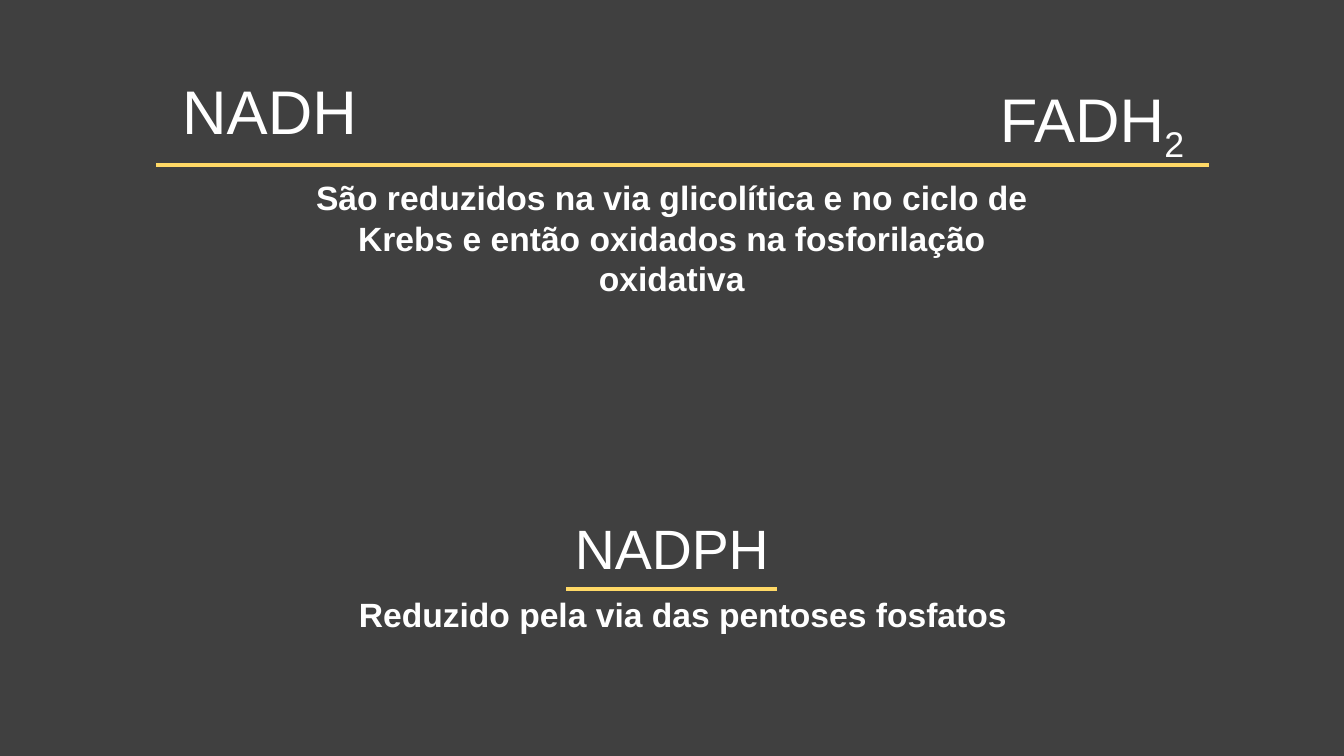
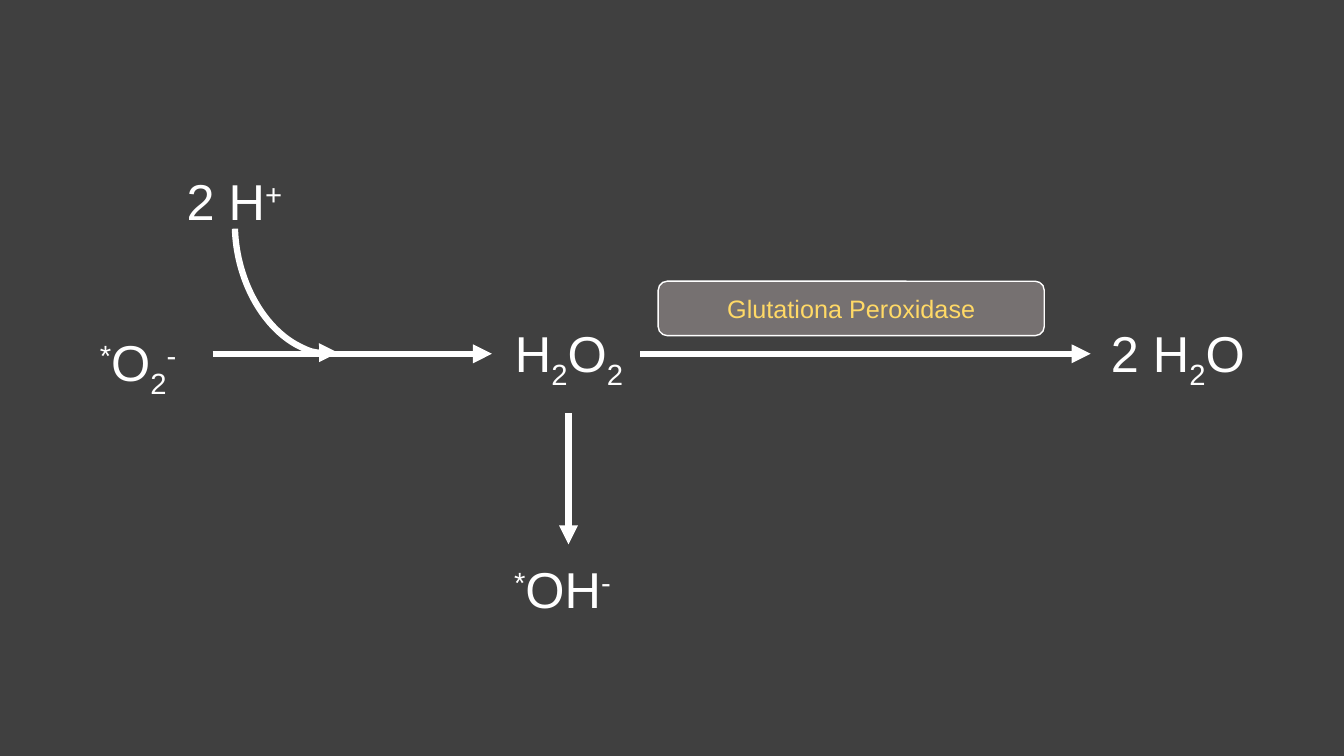
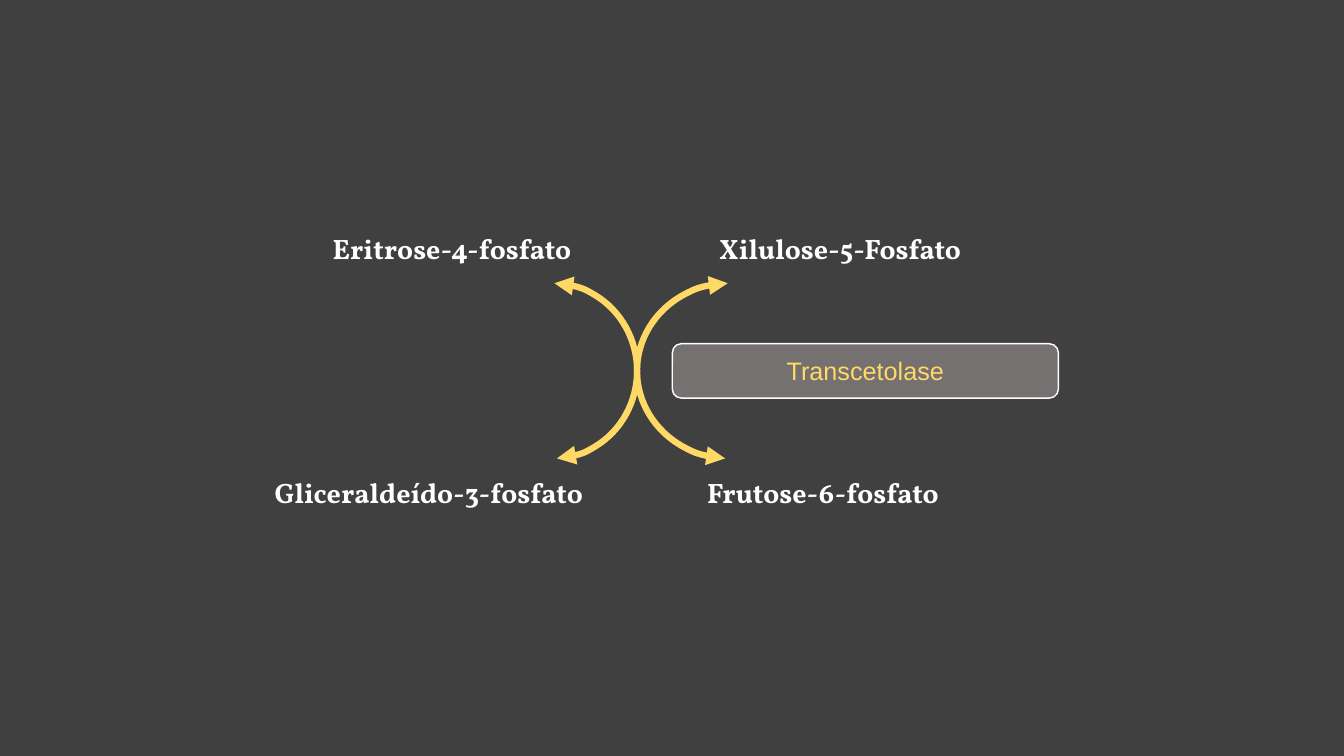
from pptx import Presentation
from pptx import util as u
from pptx.dml import color
from pptx.enum import shapes, text
from pptx.oxml import ns
from lxml import etree

COLUMNS, ROWS = 80, 45
BACKGROUND, WHITE, YELLOW, GREY = "404040", "FFFFFF", "FFD966", "767171"
SUB, SUP = -25, 30


def rgb(value):
    return color.RGBColor.from_string(value)


class Deck:
    """Holds the shared style and the slide being drawn; lengths are grid units."""

    def __init__(self):
        self.presentation = Presentation()
        self.presentation.slide_width = u.Inches(13.33)
        self.presentation.slide_height = u.Inches(7.5)
        fill = self.presentation.slide_master.background.fill
        fill.solid()
        fill.fore_color.rgb = rgb(BACKGROUND)
        self.slide = None

    def new_slide(self, titled=False):
        layout = self.presentation.slide_layouts[5 if titled else 6]
        self.slide = self.presentation.slides.add_slide(layout)

    def x(self, columns):
        return round(self.presentation.slide_width * columns / COLUMNS)

    def y(self, rows):
        return round(self.presentation.slide_height * rows / ROWS)

    def box(self, left, top, width, height):
        return self.x(left), self.y(top), self.x(width), self.y(height)

    def set_text(self, shape, runs, size, hue=WHITE, font="Arial", bold=False,
                 spacing=1.0, middle=False):
        """Fill a shape with one centred paragraph of (text, baseline) runs."""
        frame = shape.text_frame
        frame.word_wrap = True
        frame.auto_size = text.MSO_AUTO_SIZE.NONE
        anchors = text.MSO_ANCHOR
        frame.vertical_anchor = anchors.MIDDLE if middle else anchors.TOP
        paragraph = frame.paragraphs[0]
        paragraph.alignment = text.PP_ALIGN.CENTER
        paragraph.line_spacing = spacing
        for words, baseline in runs:
            run = paragraph.add_run()
            run.text = words
            run.font.size = u.Pt(size)
            run.font.name = font
            run.font.bold = bold
            run.font.color.rgb = rgb(hue)
            if baseline:
                run.font._element.set("baseline", str(baseline * 1000))

    def title(self, words, place, size):
        shape = self.slide.shapes.title
        shape.left, shape.top, shape.width, shape.height = self.box(*place)
        self.set_text(shape, [(words, 0)], size, spacing=0.9, middle=True)

    def label(self, runs, place, size, **style):
        shape = self.slide.shapes.add_textbox(*self.box(*place))
        self.set_text(shape, runs, size, **style)

    def formula(self, runs, left, top, width):
        self.label(runs, (left, top, width, 4.26), 36)

    def outline(self, shape, hue, weight, heads=()):
        shape.line.color.rgb = rgb(hue)
        shape.line.width = u.Pt(weight)
        for end in heads:
            etree.SubElement(shape.line._get_or_add_ln(),
                             ns.qn(f"a:{end}"), type="triangle")

    def line(self, start, end, hue, weight, heads=()):
        connector = self.slide.shapes.add_connector(
            shapes.MSO_CONNECTOR.STRAIGHT, self.x(start[0]), self.y(start[1]),
            self.x(end[0]), self.y(end[1]))
        self.outline(connector, hue, weight, heads)
        etree.SubElement(connector._element.spPr, ns.qn("a:effectLst"))

    def arc(self, place, angles, rotation, hue, heads, flipped=False):
        shape = self.slide.shapes.add_shape(shapes.MSO_SHAPE.ARC, *self.box(*place))
        shape.shadow.inherit = False
        shape.fill.background()
        shape.adjustments[0], shape.adjustments[1] = angles
        shape.rotation = rotation
        if flipped:
            shape._element.spPr.find(ns.qn("a:xfrm")).set("flipV", "1")
        self.outline(shape, hue, 4.5, heads)

    def enzyme(self, name, left, top):
        shape = self.slide.shapes.add_shape(
            shapes.MSO_SHAPE.ROUNDED_RECTANGLE, *self.box(left, top, 22.98, 3.24))
        shape.shadow.inherit = False
        shape.fill.solid()
        shape.fill.fore_color.rgb = rgb(GREY)
        self.outline(shape, WHITE, 1)
        self.set_text(shape, [(name, 0)], 18, hue=YELLOW, middle=True)


def coenzymes(deck):
    deck.new_slide(titled=True)
    deck.title("NADPH", (32.16, 30.6, 15.66, 4.44), 39.6)
    deck.label([("NADH", 0)], (8.22, 4.2, 15.66, 5.28), 44, spacing=0.9, middle=True)
    deck.label([("FADH", 0), ("2", SUB)], (57.18, 5.04, 15.66, 4.44), 44,
               spacing=0.8, middle=True)
    # Rules under the headings
    for left, right, row in ((9.3, 71.94, 9.84), (33.72, 46.26, 35.04)):
        deck.line((left, row), (right, row), YELLOW, 3)
    # Explanations
    for words, left, top, height in (
            ("São reduzidos na via glicolítica e no ciclo de Krebs e então "
             "oxidados na fosforilação oxidativa", 17.52, 10.26, 5.46),
            ("Reduzido pela via das pentoses fosfatos", 18.18, 35.04, 3)):
        deck.label([(words, 0)], (left, top, 44.94, height), 24, bold=True)


def peroxide(deck):
    deck.new_slide()
    # Molecules
    for runs, left, top, width in (
            ([("*", SUP), ("OH", 0), ("-", SUP)], 29.22, 32.94, 8.52),
            ([("*", SUP), ("O", 0), ("2", SUB), ("-", SUP)], 4.68, 19.44, 7.08),
            ([("H", 0), ("2", SUB), ("O", 0), ("2", SUB)], 29.64, 18.9, 8.46),
            ([("2 H", 0), ("+", SUP)], 7.38, 9.84, 13.14),
            ([("2 H", 0), ("2", SUB), ("O", 0)], 64.92, 18.9, 10.38)):
        deck.formula(runs, left, top, width)
    # Reaction arrows
    row = 21.06
    for start, end in (((33.84, 24.6), (33.84, 32.4)),
                       ((12.66, row), (29.28, row)),
                       ((38.1, row), (64.92, row))):
        deck.line(start, end, WHITE, 4.5, ["tailEnd"])
    deck.arc((12.06, 9.66, 13.5, 9.42), (108.79, 174.87), 257.5, WHITE, ["headEnd"])
    deck.enzyme("Glutationa Peroxidase", 39.18, 16.74)


def transketolase(deck):
    deck.new_slide()
    # Sugars
    for name, left, top in (("Xilulose-5-Fosfato", 37.74, 13.5),
                            ("Eritrose-4-fosfato", 14.64, 13.5),
                            ("Gliceraldeído-3-fosfato", 13.26, 28.02),
                            ("Frutose-6-fosfato", 36.72, 28.02)):
        deck.label([(name, 0)], (left, top, 24.54, 2.64), 20,
                   font="Vollkorn", bold=True)
    # Two half circles that touch
    for place, flipped in (((38.22, 16.56, 10.44, 11.04), True),
                           ((27.66, 17.04, 10.44, 10.08), False)):
        deck.arc(place, (108.79, 214.2), 90, YELLOW, ["headEnd", "tailEnd"], flipped)
    deck.enzyme("Transcetolase", 40.02, 20.46)


def main():
    deck = Deck()
    coenzymes(deck)
    peroxide(deck)
    transketolase(deck)
    deck.presentation.save("out.pptx")


if __name__ == "__main__":
    main()
